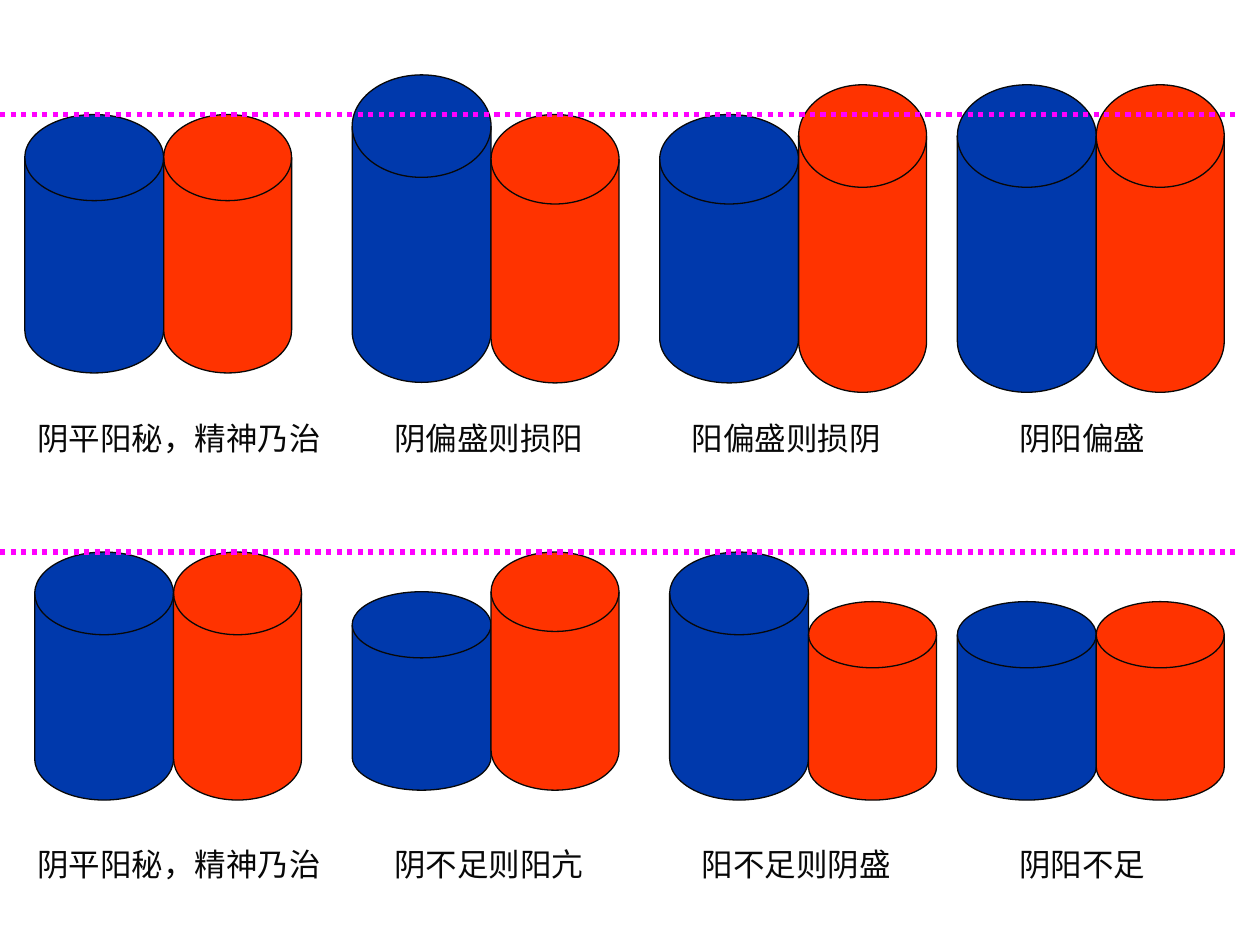
from dataclasses import dataclass

from pptx import Presentation
from pptx import util as u
from pptx.dml.color import RGBColor
from pptx.enum import dml, shapes, text
from pptx.oxml import ns
from lxml import etree


@dataclass(frozen=True)
class Theme:
    """Colours, type and cylinder widths (cm) of the slide."""
    yin: str = "0039AC"
    yang: str = "FF3300"
    ink: str = "080808"
    level: str = "FF00FF"
    font: str = "Arial"
    size: int = 18
    yin_width: float = 2.8
    yang_width: float = 2.58


@dataclass(frozen=True)
class Pair:
    """A yin and yang pair; drops and label offset count from the row level and pair left."""
    left: float
    yin_drop: float
    yin_height: float
    yang_drop: float
    yang_height: float
    label: str
    label_dx: float
    label_width: float


THEME = Theme()

EXCESS = [
    Pair(0.5, 0, 5.21, 0, 5.21, "阴平阳秘，精神乃治", 0, 6.4),
    Pair(7.1, -0.8, 6.2, 0, 5.41, "阴偏盛则损阳", 0.6, 4.8),
    Pair(13.3, 0, 5.41, -0.6, 6.2, "阳偏盛则损阴", 0.4, 4.4),
    Pair(19.3, -0.6, 6.2, -0.6, 6.2, "阴阳偏盛", 1, 4.2),
]
DEFICIENCY = [
    Pair(0.7, 0, 5, 0, 5, "阴平阳秘，精神乃治", -0.2, 6.6),
    Pair(7.1, 0.8, 4, 0, 4.8, "阴不足则阳亢", 0.6, 5),
    Pair(13.5, 0, 5, 1, 4, "阳不足则阴盛", 0.4, 5),
    Pair(19.3, 1, 4, 1, 4, "阴阳不足", 1, 4.2),
]


def add_cylinder(s, left, top, width, height, color):
    """Draw one outlined cylinder in the given box."""
    sp = s.shapes.add_shape(shapes.MSO_SHAPE.FLOWCHART_MAGNETIC_DISK,
                            u.Cm(left), u.Cm(top), u.Cm(width), u.Cm(height))
    sp.shadow.inherit = False
    sp.fill.solid()
    sp.fill.fore_color.rgb = RGBColor.from_string(color)
    sp.line.color.rgb = RGBColor.from_string(THEME.ink)
    sp.line.width = u.Pt(0.75)


def add_label(s, left, top, width, label):
    """Write the caption of a pair."""
    tf = s.shapes.add_textbox(u.Cm(left), u.Cm(top), u.Cm(width), u.Cm(1.02)).text_frame
    tf.word_wrap = True
    tf.auto_size = text.MSO_AUTO_SIZE.SHAPE_TO_FIT_TEXT
    tf.text = label
    font = tf.paragraphs[0].runs[0].font
    font.name, font.size = THEME.font, u.Pt(THEME.size)
    font.color.rgb = RGBColor.from_string(THEME.ink)


def add_level(s, top, width):
    """Draw the dotted line that marks the normal level."""
    line = s.shapes.add_connector(shapes.MSO_CONNECTOR.STRAIGHT,
                                  0, u.Cm(top), u.Cm(width), u.Cm(top))
    line.line.color.rgb = RGBColor.from_string(THEME.level)
    line.line.width = u.Pt(3)
    line.line.dash_style = dml.MSO_LINE.ROUND_DOT
    etree.SubElement(line._element.spPr, ns.qn("a:effectLst"))


def add_row(s, top, width, label_dy, pairs):
    """Place a row of captioned pairs with its normal level at the top."""
    for pair in pairs:
        add_cylinder(s, pair.left, top + pair.yin_drop,
                     THEME.yin_width, pair.yin_height, THEME.yin)
        add_cylinder(s, pair.left + THEME.yin_width, top + pair.yang_drop,
                     THEME.yang_width, pair.yang_height, THEME.yang)
        add_label(s, pair.left + pair.label_dx, top + label_dy,
                  pair.label_width, pair.label)
    add_level(s, top, width)


def main():
    """Build and save the slide."""
    prs = Presentation()
    prs.slide_width, prs.slide_height = u.Cm(25.4), u.Cm(19.05)
    s = prs.slides.add_slide(prs.slide_layouts[6])
    add_row(s, 2.31, 24.9, 6.02, EXCESS)
    add_row(s, 11.13, 24.9, 5.79, DEFICIENCY)
    prs.save("out.pptx")


if __name__ == "__main__":
    main()
